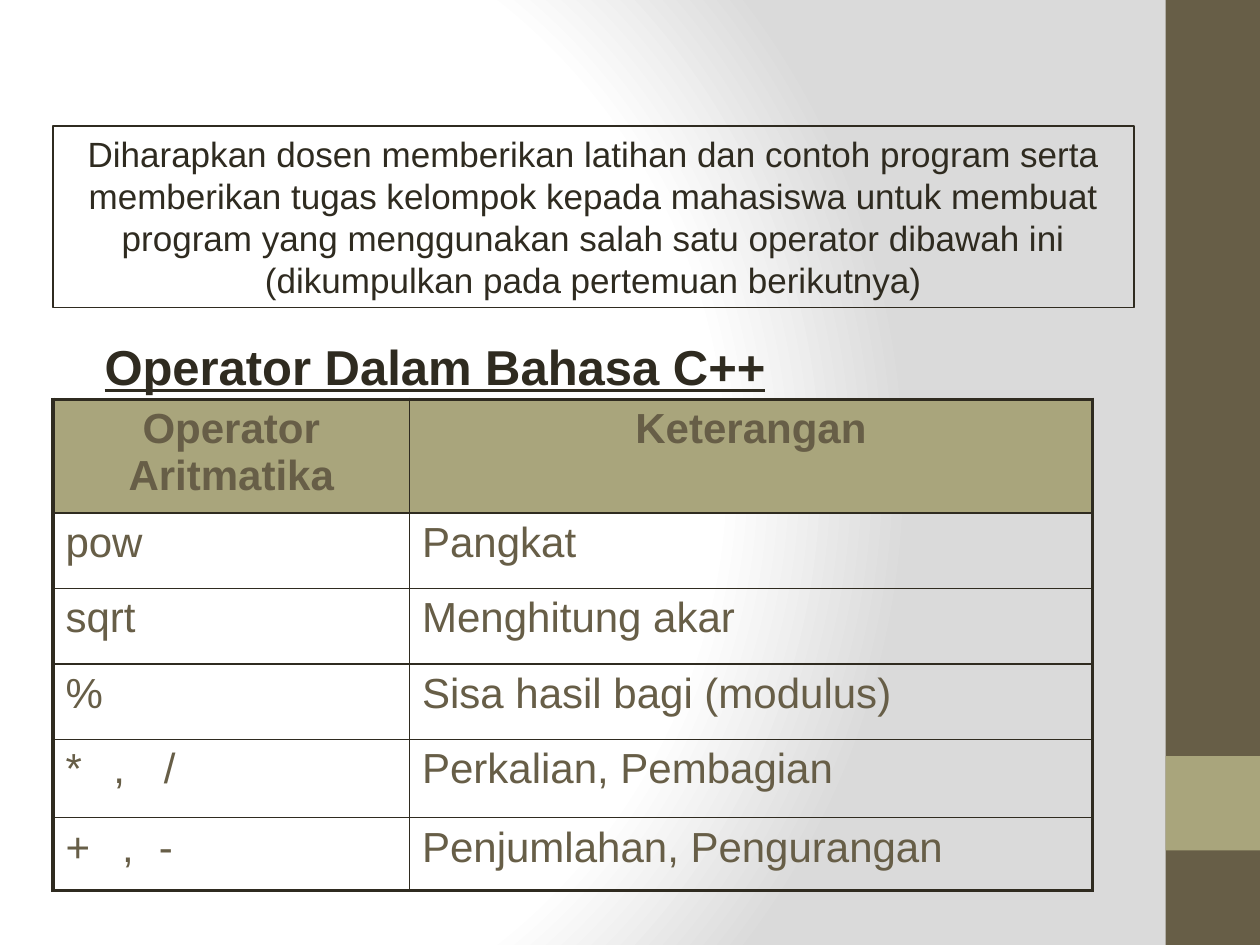
from dataclasses import dataclass
from lxml import etree
from pptx import Presentation
from pptx.dml.color import RGBColor as Rgb
from pptx.enum.shapes import MSO_SHAPE as Kind
from pptx.enum.text import MSO_ANCHOR as Anchor, PP_ALIGN as Align
from pptx.oxml import parse_xml
from pptx.oxml.ns import qn
from pptx.util import Inches, Pt


@dataclass(frozen=True)
class Theme:
    font: str = "Arial"
    ink: str = "2F2B20"
    brown: str = "675E47"
    olive: str = "A9A57C"
    white: str = "FFFFFF"
    gray: str = "DADADA"
    note: int = 20
    cell: int = 24
    title: int = 28
    thin: float = 1
    thick: float = 2.25


@dataclass(frozen=True)
class Box:
    left: float
    top: float
    width: float
    height: float

    def place(self) -> list:
        return [Inches(n) for n in (self.left, self.top, self.width, self.height)]


@dataclass(frozen=True)
class Row:
    sign: str
    note: str
    height: float = 0.6
    tabs: tuple = ()


T = Theme()
NS = "http://schemas.openxmlformats.org/drawingml/2006/main"


def style(par, size: int, color: str, bold: bool = False, line: bool = False) -> None:
    for run in par.runs:
        font = run.font
        font.name, font.size = T.font, Pt(size)
        font.bold, font.underline = bold, line
        font.color.rgb = Rgb.from_string(color)


def add_rect(box: Box, fill: str = "", line: str = ""):
    rect = slide.shapes.add_shape(Kind.RECTANGLE, *box.place())
    rect.shadow.inherit = False
    if fill:
        rect.fill.solid()
        rect.fill.fore_color.rgb = Rgb.from_string(fill)
    else:
        rect.fill.background()
    if line:
        rect.line.color.rgb = Rgb.from_string(line)
        rect.line.width = Pt(0.75)
    else:
        rect.line.fill.background()
    return rect


def add_edges(cell, widths: dict) -> None:
    # Borders come before the fill in the cell properties
    props = cell._tc.get_or_add_tcPr()
    for spot, (side, width) in enumerate(widths.items()):
        props.insert(spot, parse_xml(
            f'<a:ln{side} xmlns:a="{NS}" w="{Pt(width)}"><a:solidFill>'
            f'<a:srgbClr val="{T.ink}"/></a:solidFill></a:ln{side}>'))


def add_tabs(par, stops: tuple) -> None:
    tabs = etree.SubElement(par._p.get_or_add_pPr(), qn("a:tabLst"))
    for stop in stops:
        etree.SubElement(tabs, qn("a:tab"), pos=str(Inches(stop)), algn="l")


def fill_cell(cell, text: str, head: bool, tabs: tuple) -> None:
    if head:
        cell.fill.solid()
        cell.fill.fore_color.rgb = Rgb.from_string(T.olive)
    else:
        cell.fill.background()
    cell.text_frame.text = text
    par = cell.text_frame.paragraphs[0]
    par.alignment = Align.CENTER if head else Align.LEFT
    par.space_before = Pt(T.cell * 0.2)
    style(par, T.cell, T.brown, bold=head)
    if tabs:
        add_tabs(par, tabs)


def add_grid(box: Box, cols: tuple, rows: list):
    shape = slide.shapes.add_table(len(rows), len(cols), *box.place())
    grid = shape.table
    grid.first_row = grid.horz_banding = False
    for col, width in zip(grid.columns, cols):
        col.width = Inches(width)
    for r, row in enumerate(rows):
        grid.rows[r].height = Inches(row.height)
        for c, text in enumerate((row.sign, row.note)):
            cell = grid.cell(r, c)
            fill_cell(cell, text, r == 0, () if c else row.tabs)
            outer = {"L": c == 0, "R": c == len(cols) - 1,
                     "T": r == 0, "B": r == len(rows) - 1}
            add_edges(cell, {side: T.thick if edge else T.thin
                             for side, edge in outer.items()})


deck = Presentation()
deck.slide_width, deck.slide_height = Inches(10), Inches(7.5)
slide = deck.slides.add_slide(deck.slide_layouts[6])

# Background glow
back = slide.background.fill
back.solid()
back.fore_color.rgb = Rgb.from_string(T.white)
props = slide._element.cSld.find(qn("p:bg")).find(qn("p:bgPr"))
stops = "".join(f'<a:gs pos="{pos * 1000}"><a:srgbClr val="{color}"/></a:gs>'
                for pos, color in ((0, T.white), (75, T.white), (100, T.gray)))
props.replace(props[0], parse_xml(
    f'<a:gradFill xmlns:a="{NS}" rotWithShape="1"><a:gsLst>{stops}</a:gsLst>'
    '<a:path path="circle"><a:fillToRect l="20000" t="50000" r="100000" b="50000"/>'
    '</a:path></a:gradFill>'))

# Side band
add_rect(Box(9.25, 0, 0.75, 7.5), T.brown)
add_rect(Box(9.25, 6, 0.75, 0.75), T.olive)

# Operator table
add_grid(Box(0.42, 3.17, 8.25, 3.9), (2.83, 5.42), [
    Row("Operator Aritmatika", "Keterangan", 0.9),
    Row("pow", "Pangkat"),
    Row("sqrt", "Menghitung akar"),
    Row("%", "Sisa hasil bagi (modulus)"),
    Row("*\t,\t/", "Perkalian, Pembagian", 0.62, (0.38, 0.78)),
    Row("+\t,\t-", "Penjumlahan, Pengurangan", 0.58, (0.45, 0.74)),
])

# Table title
title = slide.shapes.add_textbox(*Box(0.83, 2.67, 6.33, 0.47).place()).text_frame
title.margin_left = title.margin_right = title.margin_top = title.margin_bottom = 0
title.word_wrap = True
title.text = "Operator Dalam Bahasa C++"
title.paragraphs[0].alignment = Align.JUSTIFY
style(title.paragraphs[0], T.title, T.ink, bold=True, line=True)

# Task note
task = add_rect(Box(0.42, 1, 8.58, 1.44), line=T.ink).text_frame
task.word_wrap = True
task.vertical_anchor = Anchor.TOP
task.text = ("Diharapkan dosen memberikan latihan dan contoh program serta "
             "memberikan tugas kelompok kepada mahasiswa untuk membuat program "
             "yang menggunakan salah satu operator dibawah ini "
             "(dikumpulkan pada pertemuan berikutnya)")
task.paragraphs[0].alignment = Align.CENTER
task.paragraphs[0].space_before = Pt(T.note * 0.5)
style(task.paragraphs[0], T.note, T.ink)

deck.save("out.pptx")
